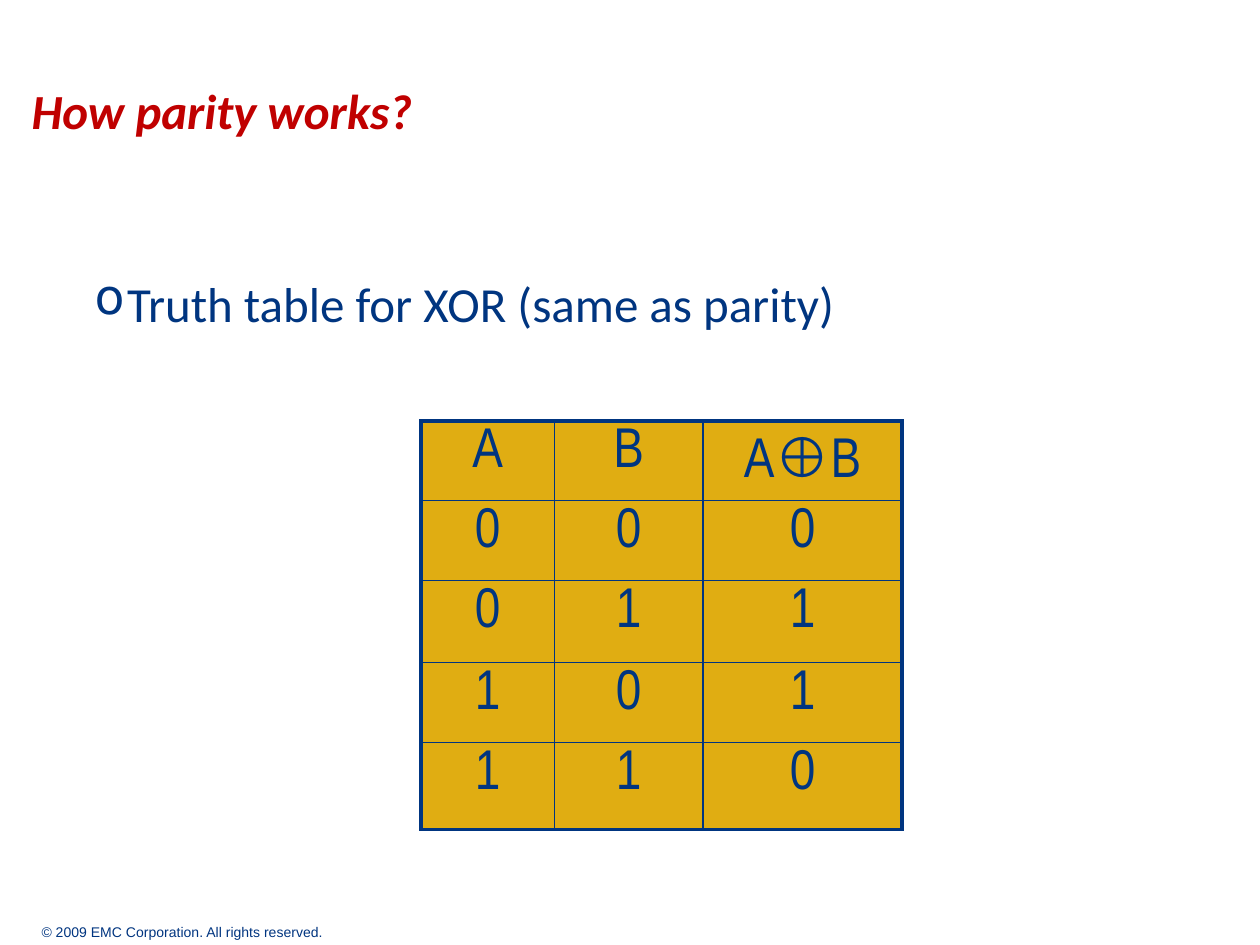
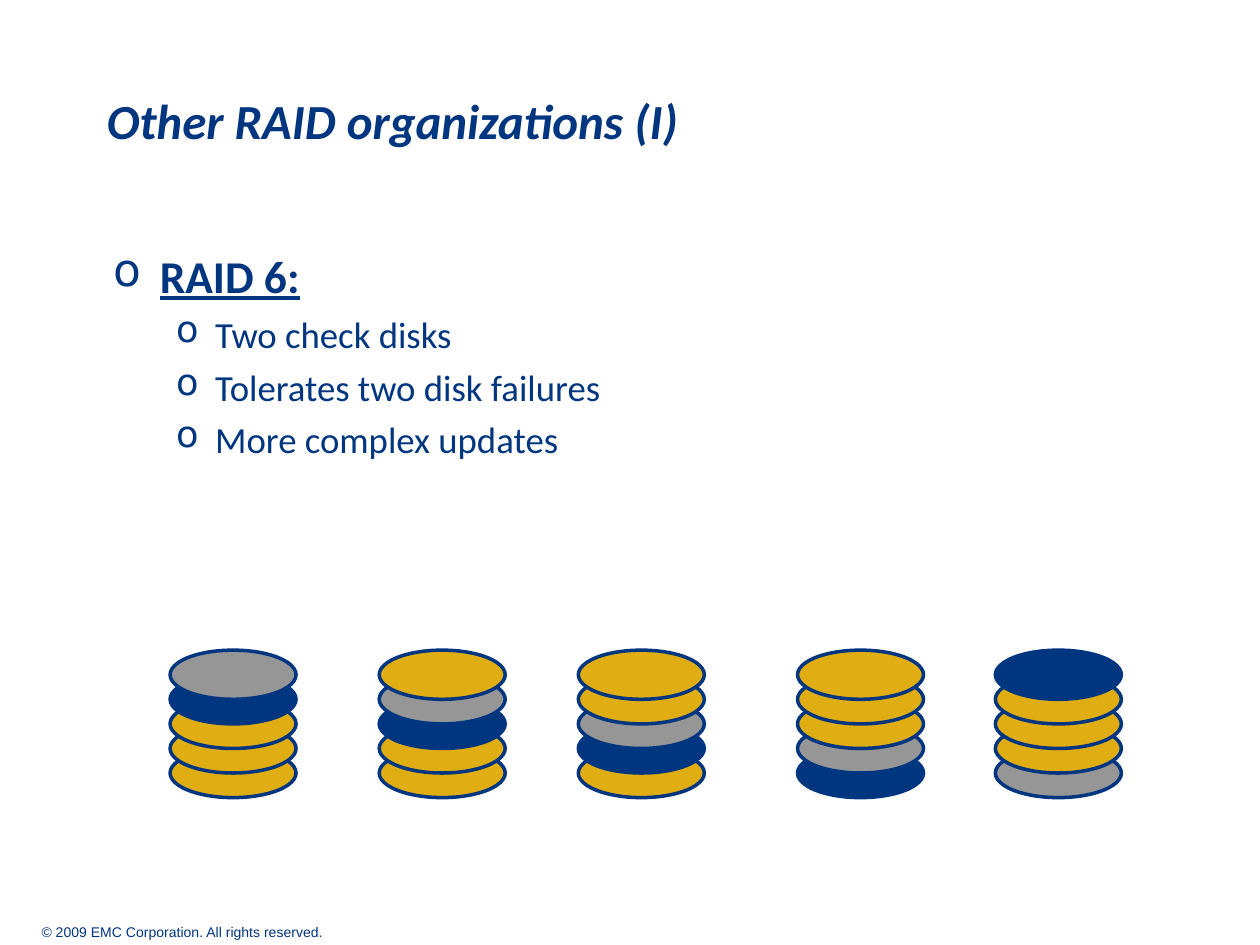
from dataclasses import dataclass

from lxml import etree
from pptx import Presentation
from pptx.dml.color import RGBColor
from pptx.enum.shapes import MSO_SHAPE
from pptx.enum.text import MSO_ANCHOR, PP_ALIGN
from pptx.oxml.ns import qn
from pptx.util import Inches, Pt

OVAL = MSO_SHAPE.OVAL
CENTER = PP_ALIGN.CENTER
TOP, MIDDLE = MSO_ANCHOR.TOP, MSO_ANCHOR.MIDDLE

COLORS = {"navy": "003580", "red": "C00000", "gold": "E0AD12", "gray": "969696"}
SLIDE_WIDTH, SLIDE_HEIGHT = Inches(10), Inches(7.5)
GRID_COLUMNS, GRID_ROWS = 100, 75
HEADING, NARROW, PLAIN = "Calibri", "Arial Narrow", "Arial"
INSET = (1, 0.5)
FLUSH = (0, 0)

TRUTH_INPUTS = [(0, 0), (0, 1), (1, 0), (1, 1)]
TRUTH_COLUMNS = [10.6, 11.8, 15.8]
TRUTH_ROWS = [6.3, 6.3, 6.5, 6.3, 6.9]
OUTER_BORDER, INNER_BORDER = 2.25, 1

STACK_COLUMNS = [13.5, 30.1, 45.9, 63.3, 79]
DISKS_PER_STACK = 5
TOP_DISK_ROW, DISK_STEP = 51.6, 1.95
DISK_WIDTH, DISK_HEIGHT = 10, 3.9


@dataclass(frozen=True)
class Area:
    column: float
    row: float
    width: float
    height: float

    def lengths(self) -> tuple:
        return across(self.column), down(self.row), across(self.width), down(self.height)


@dataclass(frozen=True)
class Bullet:
    text: str
    size: float
    margin: float
    hanging: float
    before: float = 0
    level: int = 0
    bold: bool = False
    underline: bool = False


def across(columns: float) -> int:
    return round(SLIDE_WIDTH * columns / GRID_COLUMNS)


def down(rows: float) -> int:
    return round(SLIDE_HEIGHT * rows / GRID_ROWS)


def rgb(color: str) -> RGBColor:
    return RGBColor.from_string(COLORS[color])


def add_child(parent, tag: str, **attributes):
    return etree.SubElement(parent, qn(tag), attributes)


def write(paragraph, text: str, *, size: float, font: str = HEADING, color: str = "navy",
          bold: bool = False, italic: bool = False, underline: bool = False) -> None:
    run = paragraph.add_run()
    run.text = text
    run.font.name = font
    run.font.size = Pt(size)
    run.font.bold = bold
    run.font.italic = italic
    run.font.underline = underline
    run.font.color.rgb = rgb(color)


def add_frame(slide, area: Area, inset: tuple = FLUSH, wrap: bool = True, anchor=TOP):
    frame = slide.shapes.add_textbox(*area.lengths()).text_frame
    frame.word_wrap = wrap
    frame.vertical_anchor = anchor
    frame.margin_left = frame.margin_right = across(inset[0])
    frame.margin_top = frame.margin_bottom = down(inset[1])
    return frame


def add_title(slide, text: str, area: Area, color: str = "navy", inset: tuple = FLUSH) -> None:
    frame = add_frame(slide, area, inset)
    write(frame.paragraphs[0], text, size=28, color=color, bold=True, italic=True)


def add_footer(slide) -> None:
    frame = add_frame(slide, Area(3.3, 73.1, 24.4, 1.7), wrap=False, anchor=MIDDLE)
    write(frame.paragraphs[0], "© 2009 EMC Corporation. All rights reserved.", size=8, font=PLAIN)


def add_bullets(slide, bullets: list[Bullet], area: Area, inset: tuple = FLUSH) -> None:
    frame = add_frame(slide, area, inset)
    for position, bullet in enumerate(bullets):
        paragraph = frame.add_paragraph() if position else frame.paragraphs[0]
        paragraph.level = bullet.level
        properties = paragraph._p.get_or_add_pPr()
        properties.set("marL", str(across(bullet.margin)))
        properties.set("indent", str(-across(bullet.hanging)))
        add_child(add_child(properties, "a:buClr"), "a:srgbClr", val=COLORS["navy"])
        add_child(properties, "a:buChar", char="o")
        if bullet.before:
            paragraph.space_before = Pt(bullet.before)
        write(paragraph, bullet.text, size=bullet.size, bold=bullet.bold, underline=bullet.underline)


def set_borders(cell, widths: dict[str, float]) -> None:
    properties = cell._tc.get_or_add_tcPr()
    for side, width in widths.items():
        border = add_child(properties, f"a:ln{side}", w=str(Pt(width)))
        add_child(add_child(border, "a:solidFill"), "a:srgbClr", val=COLORS["navy"])


def add_truth_table(slide) -> None:
    area = Area(33.4, 33.4, sum(TRUTH_COLUMNS), sum(TRUTH_ROWS))
    row_count, column_count = len(TRUTH_ROWS), len(TRUTH_COLUMNS)
    table = slide.shapes.add_table(row_count, column_count, *area.lengths()).table
    table.first_row = table.horz_banding = False
    for column, width in zip(table.columns, TRUTH_COLUMNS):
        column.width = across(width)
    for row, height in zip(table.rows, TRUTH_ROWS):
        row.height = down(height)

    values = [("A", "B", "A⊕B")] + [(a, b, a ^ b) for a, b in TRUTH_INPUTS]
    for row, entries in enumerate(values):
        for column, entry in enumerate(entries):
            cell = table.cell(row, column)
            on_edge = {"L": column == 0, "R": column == column_count - 1,
                       "T": row == 0, "B": row == row_count - 1}
            set_borders(cell, {side: OUTER_BORDER if outer else INNER_BORDER
                               for side, outer in on_edge.items()})
            cell.fill.solid()
            cell.fill.fore_color.rgb = rgb("gold")
            paragraph = cell.text_frame.paragraphs[0]
            paragraph.alignment = CENTER
            for symbol in str(entry):
                is_xor = symbol == "⊕"
                write(paragraph, symbol, size=32, font=PLAIN if is_xor else NARROW, bold=is_xor)


def add_disk_stack(slide, column: float, first_check: int) -> None:
    stack = slide.shapes.add_group_shape()
    check_colors = {first_check: "gray", (first_check + 1) % DISKS_PER_STACK: "navy"}
    for level in reversed(range(DISKS_PER_STACK)):
        area = Area(column, TOP_DISK_ROW + level * DISK_STEP, DISK_WIDTH, DISK_HEIGHT)
        disk = stack.shapes.add_shape(OVAL, *area.lengths())
        disk.shadow.inherit = False
        disk.fill.solid()
        disk.fill.fore_color.rgb = rgb(check_colors.get(level, "gold"))
        disk.line.color.rgb = rgb("navy")
        disk.line.width = Pt(2)


def build_parity_slide(slide) -> None:
    add_title(slide, "How parity works?", Area(2.5, 6.4, 95.2, 5), color="red")
    add_bullets(slide, [Bullet("Truth table for XOR (same as parity)", 28, 2.6, 2.6)],
                Area(7.5, 21.7, 76.5, 6.7))
    add_truth_table(slide)


def build_raid_slide(slide) -> None:
    add_title(slide, "Other RAID organizations (I)", Area(7.5, 6.7, 85, 12.5), inset=INSET)
    features = ["Two check disks", "Tolerates two disk failures", "More complex updates"]
    bullets = [Bullet("RAID 6:", 26, 3.7, 3.7, bold=True, underline=True)]
    bullets += [Bullet(feature, 21, 8.1, 3.1, before=5, level=1) for feature in features]
    add_bullets(slide, bullets, Area(8, 19.2, 84, 25.8), INSET)
    for first_check, column in enumerate(STACK_COLUMNS):
        add_disk_stack(slide, column, first_check)


def main() -> None:
    deck = Presentation()
    deck.slide_width, deck.slide_height = SLIDE_WIDTH, SLIDE_HEIGHT
    blank_layout = deck.slide_layouts[6]
    for build in (build_parity_slide, build_raid_slide):
        slide = deck.slides.add_slide(blank_layout)
        add_footer(slide)
        build(slide)
    deck.save("out.pptx")


if __name__ == "__main__":
    main()
